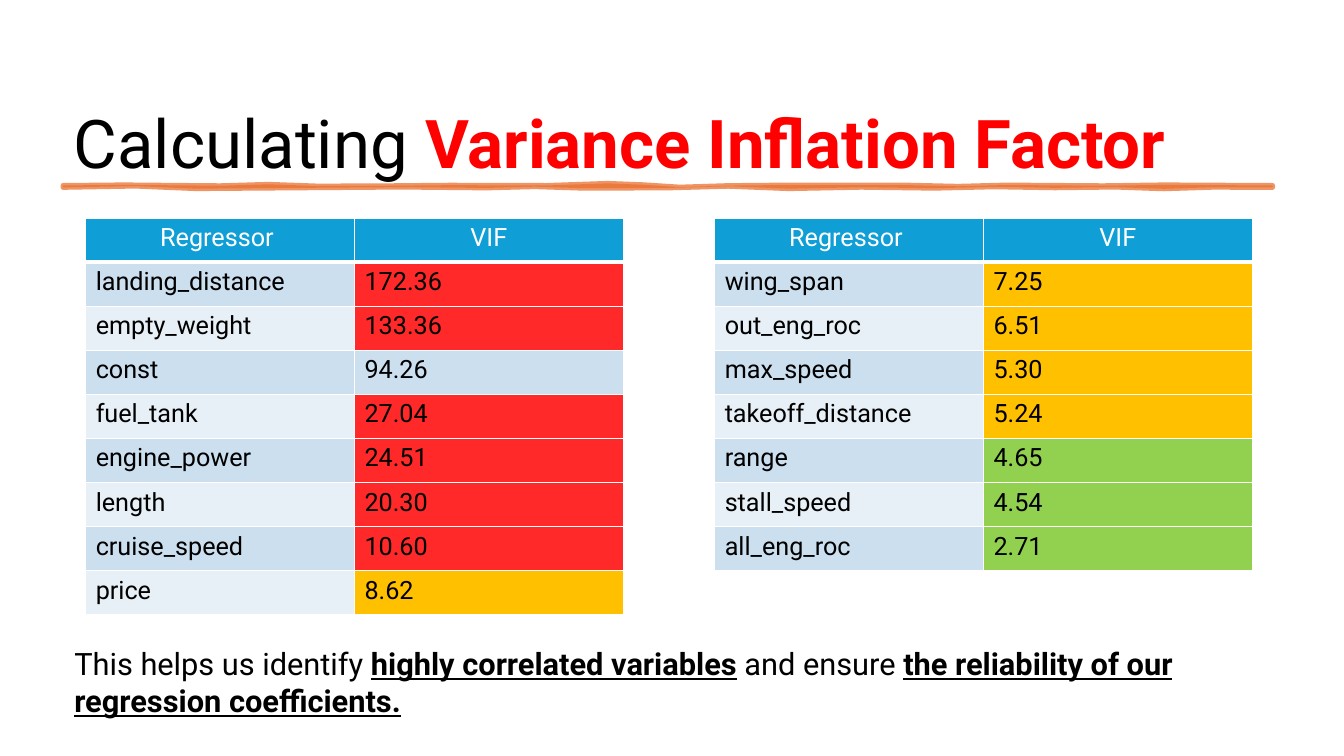
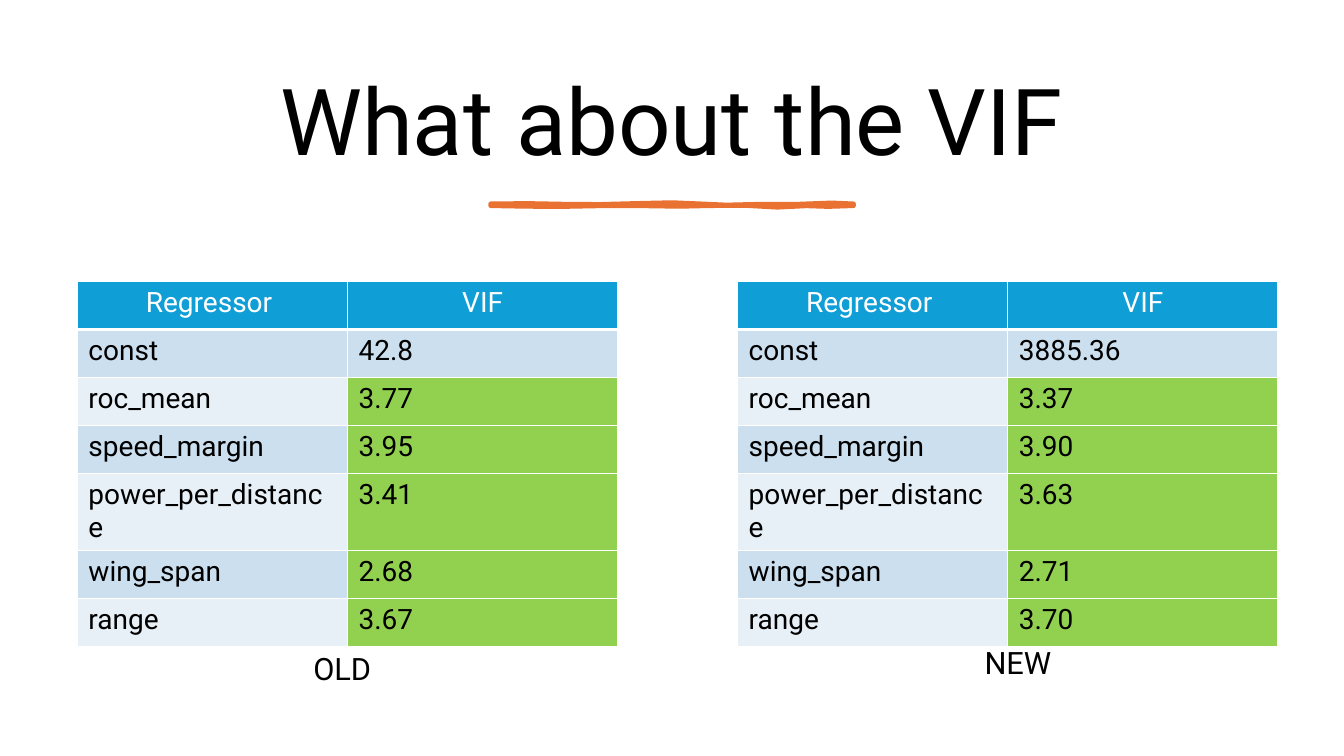
from lxml.etree import SubElement
from pptx import Presentation
from pptx.dml.color import RGBColor
from pptx.enum.text import MSO_ANCHOR, PP_ALIGN
from pptx.oxml import parse_xml
from pptx.oxml.ns import nsdecls, qn
from pptx.util import Pt

# Shared look
FONT = "Roboto"
BLACK, WHITE, RED_TEXT, ORANGE = "000000", "FFFFFF", "FF0000", "E97132"
HEADER, BANDS = "0F9ED5", ("CCDFEF", "E7F0F7")
HIGH, MEDIUM, LOW = "FF2929", "FFC000", "92D050"
EMPHASIS = {"bold": True, "underline": True}

# Brush edges: (fraction of width, offset in points)
LONG_BRUSH = {
    "top": [(0, 0), (0.05, -0.4), (0.13, 0.2), (0.17, -0.8), (0.21, 0.4),
            (0.26, 0.3), (0.32, -0.2), (0.4, 0), (0.45, -1.5), (0.48, -0.5),
            (0.51, 1.2), (0.55, 0.1), (0.6, -0.3), (0.7, -0.2), (0.74, 0.6),
            (0.78, -0.3), (0.86, 0.2), (0.91, -0.4), (1, 0)],
    "bottom": [(1, 1.4), (0.95, 1.3), (0.91, 2.4), (0.87, 1.2), (0.82, 1.7),
               (0.77, 1), (0.72, 2), (0.66, 1.3), (0.6, 2.3), (0.55, 0.6),
               (0.5, 1.8), (0.43, 2), (0.39, 0.9), (0.35, 1.8), (0.28, 1.2),
               (0.2, 1.7), (0.11, 2.3), (0.06, 0.5), (0, 1.4)],
}
SHORT_BRUSH = {
    "top": [(0, 0), (0.1, -0.3), (0.2, 0.2), (0.3, 0.4), (0.4, -0.3),
            (0.5, -0.9), (0.58, 0), (0.65, 0.8), (0.75, 0.2), (0.85, 0.2),
            (0.94, -0.7), (1, 0)],
    "bottom": [(1, 1.4), (0.93, 2), (0.87, 1.5), (0.79, 2.5), (0.7, 1.2),
               (0.6, 1.4), (0.52, 1.9), (0.4, 1.4), (0.3, 1.5), (0.2, 2),
               (0.1, 1.9), (0, 1.4)],
}


def color(hex_value):
    return RGBColor.from_string(hex_value)


def set_attributes(target, values):
    for name, value in values.items():
        setattr(target, name, value)


def add_run(paragraph, text, size, hex_value=BLACK, **formats):
    run = paragraph.add_run()
    run.text = text
    set_attributes(run.font, {"name": FONT, "size": Pt(size), "bold": False, **formats})
    run.font.color.rgb = color(hex_value)


def add_text(slide, box, size, runs, frame_formats=None, paragraph_formats=None):
    """Place one paragraph; each run is (text, colour, font formats)."""
    frame = slide.shapes.add_textbox(*map(Pt, box)).text_frame
    set_attributes(frame, {"word_wrap": True, **(frame_formats or {})})
    paragraph = frame.paragraphs[0]
    set_attributes(paragraph, paragraph_formats or {})
    for text, hex_value, formats in runs:
        add_run(paragraph, text, size, hex_value, **formats)


def add_brush(slide, left, top, width, edges, weight, opacity=100):
    """Draw the hand-made underline below a title."""
    points = [(Pt(left + part * width), Pt(top + offset))
              for part, offset in edges["top"] + edges["bottom"]]
    builder = slide.shapes.build_freeform(*points[0], scale=1.0)
    builder.add_line_segments(points[1:], close=True)
    shape = builder.convert_to_shape()
    shape.shadow.inherit = False
    shape.line.width = Pt(weight)
    for fill in (shape.fill, shape.line.fill):
        fill.solid()
        fill.fore_color.rgb = color(ORANGE)
    if opacity < 100:
        for paint in shape.element.spPr.iter(qn("a:srgbClr")):
            SubElement(paint, qn("a:alpha")).set("val", str(opacity * 1000))


def add_borders(cell, bottom_weight):
    properties = cell._tc.get_or_add_tcPr()
    weights = {"lnL": 1, "lnR": 1, "lnT": 1, "lnB": bottom_weight}
    for index, (side, weight) in enumerate(weights.items()):
        properties.insert(index, parse_xml(
            f'<a:{side} {nsdecls("a")} w="{Pt(weight)}"><a:solidFill>'
            f'<a:srgbClr val="{WHITE}"/></a:solidFill></a:{side}>'))


def vif_color(regressor, value):
    if regressor == "const":
        return BANDS[0]
    return HIGH if float(value) > 10 else MEDIUM if float(value) > 5 else LOW


def add_vif_table(slide, left, top, width, row_height, size, margin, factors):
    """Place a regressor table whose values are coloured by severity."""
    rows = [("Regressor ", "VIF"), *factors]
    table = slide.shapes.add_table(
        len(rows), 2, Pt(left), Pt(top), Pt(width), Pt(row_height * len(rows))).table
    for row_index, row in enumerate(rows):
        table.rows[row_index].height = Pt(row_height)
        is_header = row_index == 0
        if is_header:
            fills = (HEADER, HEADER)
        else:
            fills = (BANDS[(row_index - 1) % 2], vif_color(*row))
        for column_index, (text, fill) in enumerate(zip(row, fills)):
            cell = table.cell(row_index, column_index)
            set_attributes(cell, {"margin_left": Pt(margin), "margin_right": Pt(margin)})
            cell.fill.solid()
            cell.fill.fore_color.rgb = color(fill)
            add_borders(cell, 3 if is_header else 1)
            paragraph = cell.text_frame.paragraphs[0]
            paragraph.alignment = PP_ALIGN.CENTER if is_header else PP_ALIGN.LEFT
            add_run(paragraph, text, size, WHITE if is_header else BLACK)


def build_calculation_slide(slide):
    # Title
    add_brush(slide, 45, 132.5, 864, LONG_BRUSH, 3.5, opacity=75)
    add_text(slide, (45.5, 69, 886, 65.5), 48, [
        ("Calculating ", BLACK, {}),
        ("Variance Inflation Factor", RED_TEXT, {"bold": True})])

    # Takeaway
    add_text(slide, (46, 457.2, 862, 60.5), 22, [
        ("This helps us identify ", BLACK, {}),
        ("highly correlated variables", BLACK, EMPHASIS),
        (" ", BLACK, {"bold": True}),
        ("and ensure ", BLACK, {}),
        ("the reliability of our regression coefficients.", BLACK, EMPHASIS)])

    # Tables
    left_factors = [
        ("landing_distance", "172.36"), ("empty_weight", "133.36"),
        ("const", "94.26"), ("fuel_tank", "27.04"), ("engine_power", "24.51"),
        ("length", "20.30"), ("cruise_speed", "10.60"), ("price", "8.62")]
    right_factors = [
        ("wing_span", "7.25"), ("out_eng_roc", "6.51"), ("max_speed", "5.30"),
        ("takeoff_distance", "5.24"), ("range", "4.65"),
        ("stall_speed", "4.54"), ("all_eng_roc", "2.71")]
    for left, factors in ((61.2, left_factors), (510.5, right_factors)):
        add_vif_table(slide, left, 155.8, 384, 31.5, 18, 7.2, factors)


def build_comparison_slide(slide):
    # Title
    add_brush(slide, 350.5, 145.6, 259.2, SHORT_BRUSH, 3.25)
    add_text(slide, (50.4, 36, 859, 108), 66, [("What about the VIF", BLACK, {})],
             {"vertical_anchor": MSO_ANCHOR.MIDDLE},
             {"alignment": PP_ALIGN.CENTER, "line_spacing": 0.9, "space_after": Pt(6)})

    # Tables with their labels
    regressors = ("const", "roc_mean", "speed_margin", "power_per_distance",
                  "wing_span", "range")
    models = [
        ("OLD", 55.4, (216.7, 460.8), ("42.8", "3.77", "3.95", "3.41", "2.68", "3.67")),
        ("NEW", 527, (696.2, 456.5), ("3885.36", "3.37", "3.90", "3.63", "2.71", "3.70"))]
    for label, left, label_corner, values in models:
        add_vif_table(slide, left, 201, 385.9, 34.3, 20, 7.8, zip(regressors, values))
        add_text(slide, (*label_corner, 81.4, 33.8), 22, [(label, BLACK, {})])


def main():
    presentation = Presentation()
    set_attributes(presentation, {"slide_width": Pt(960), "slide_height": Pt(540)})
    for build_slide in (build_calculation_slide, build_comparison_slide):
        build_slide(presentation.slides.add_slide(presentation.slide_layouts[6]))
    presentation.save("out.pptx")


if __name__ == "__main__":
    main()
